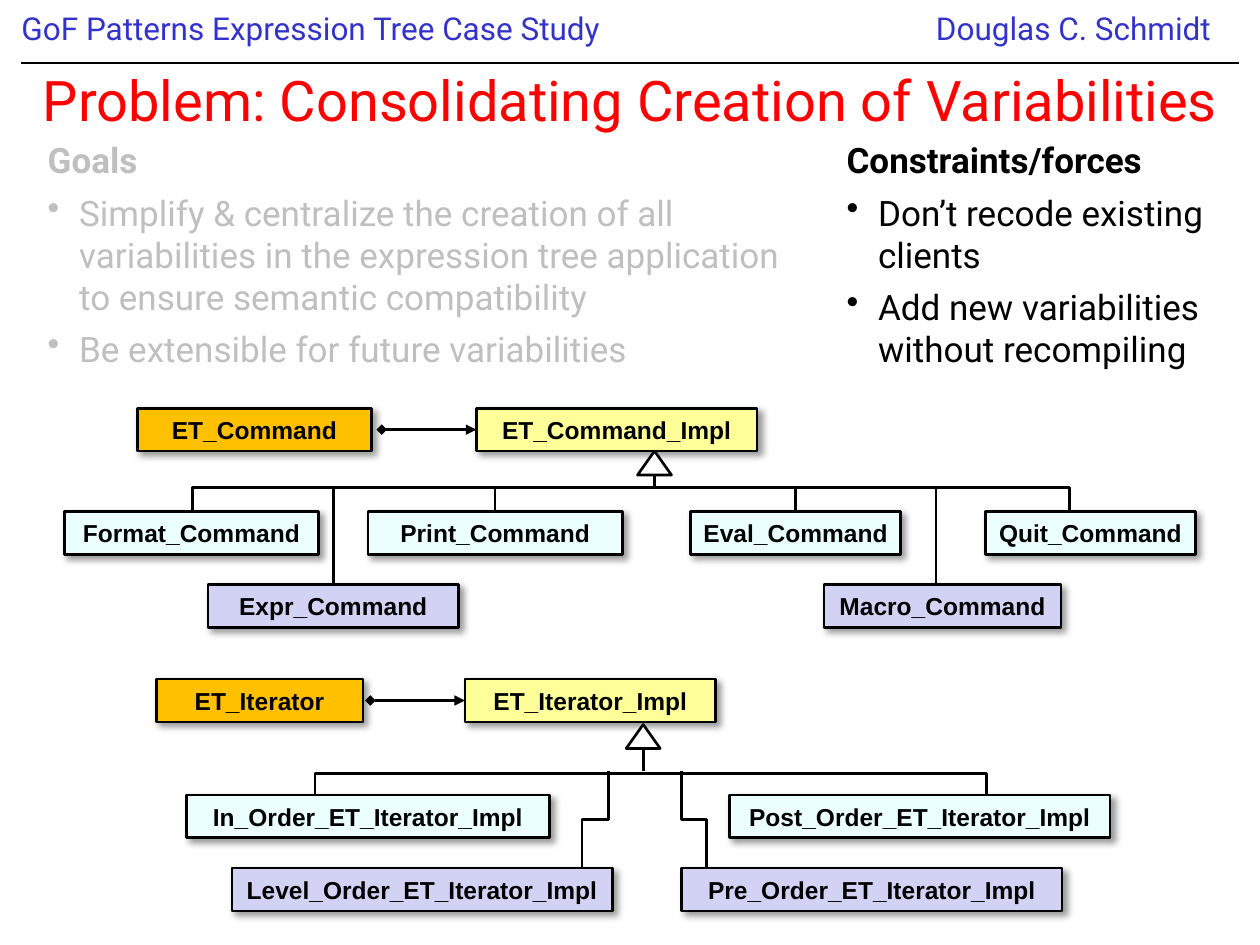
from dataclasses import dataclass

from lxml import etree
from pptx import Presentation
from pptx.dml.color import RGBColor
from pptx.enum.shapes import MSO_CONNECTOR, MSO_SHAPE
from pptx.enum.text import MSO_ANCHOR, MSO_AUTO_SIZE, PP_ALIGN
from pptx.oxml import parse_xml
from pptx.oxml.ns import qn
from pptx.util import Inches, Pt

RECT, TRIANGLE = MSO_SHAPE.RECTANGLE, MSO_SHAPE.ISOSCELES_TRIANGLE
STRAIGHT = MSO_CONNECTOR.STRAIGHT
CENTER, MIDDLE = PP_ALIGN.CENTER, MSO_ANCHOR.MIDDLE
NO_FIT = MSO_AUTO_SIZE.NONE
TOP, LEFT = 0, 1
COLS, ROWS = 100, 75

SHADOW = """<a:effectLst xmlns:a="http://schemas.openxmlformats.org/drawingml/2006/main">
<a:outerShdw blurRad="50800" dist="38100" dir="2700000" algn="tl" rotWithShape="0">
<a:srgbClr val="000000"><a:alpha val="40000"/></a:srgbClr></a:outerShdw></a:effectLst>"""


@dataclass(frozen=True)
class Theme:
    text_font: str = "Roboto"
    box_font: str = "Arial"
    header: str = "3333CC"
    title: str = "FF0000"
    ink: str = "000000"
    muted: str = "BFBFBF"
    paper: str = "FFFFFF"
    client: str = "FFC000"
    base: str = "FFFF99"
    upper: str = "EBFFFF"
    lower: str = "D2D2F4"
    header_size: int = 18
    title_size: int = 32
    body_size: int = 20
    box_size: int = 14
    thin: float = 0.75
    stroke: float = 1.5


class Deck:
    def __init__(self, theme):
        self.theme = theme
        self.prs = Presentation()
        self.prs.slide_width, self.prs.slide_height = Inches(10), Inches(7.5)
        self.s = self.prs.slides.add_slide(self.prs.slide_layouts[5])

    def grid(self, *cells):
        units = (self.prs.slide_width / COLS, self.prs.slide_height / ROWS)
        return [round(cell * units[i % 2]) for i, cell in enumerate(cells)]

    def add_text(self, p, text, color, size, name, bold=False):
        r = p.add_run()
        r.text = text
        for key, value in dict(name=name, size=Pt(size), bold=bold).items():
            setattr(r.font, key, value)
        r.font.color.rgb = RGBColor.from_string(color)

    def frame(self, tf, **values):
        for key, value in values.items():
            setattr(tf, key, value)
        return tf.paragraphs[0]

    def stroke(self, line, width=None):
        line.color.rgb = RGBColor.from_string(self.theme.ink)
        line.width = Pt(width or self.theme.stroke)

    def title(self, text, at):
        t, sp = self.theme, self.s.shapes.title
        sp.left, sp.top, sp.width, sp.height = self.grid(*at)
        p = self.frame(sp.text_frame, word_wrap=True, auto_size=NO_FIT, vertical_anchor=MIDDLE)
        p.alignment = CENTER
        self.add_text(p, text, t.title, t.title_size, t.text_font)

    def header(self, text, at, inset):
        t = self.theme
        sp = self.s.shapes.add_textbox(*self.grid(*at))
        p = self.frame(sp.text_frame, word_wrap=True,
                       margin_left=Inches(inset), margin_right=Inches(inset))
        p.line_spacing = 0.9
        self.add_text(p, text, t.header, t.header_size, t.text_font)

    def bullets(self, heading, items, at, color):
        t = self.theme
        tf = self.s.shapes.add_textbox(*self.grid(*at)).text_frame
        p = self.frame(tf, word_wrap=True)
        self.add_text(p, heading, color, t.body_size, t.text_font, True)
        for item in items:
            p = tf.add_paragraph()
            pPr = p._p.get_or_add_pPr()
            pPr.set("marL", str(Inches(0.25)))
            pPr.set("indent", str(-Inches(0.25)))
            etree.SubElement(pPr, qn("a:buChar"), char="•")
            p.space_before = Pt(6)
            self.add_text(p, item, color, t.body_size, t.text_font)

    def shape(self, kind, at, fill):
        sp = self.s.shapes.add_shape(kind, *self.grid(*at))
        sp.shadow.inherit = False
        sp.fill.solid()
        sp.fill.fore_color.rgb = RGBColor.from_string(fill)
        self.stroke(sp.line)
        return sp

    def box(self, text, x, y, w, fill):
        t = self.theme
        sp = self.shape(RECT, (x, y, w, 3.4), fill)
        spPr = sp._element.spPr
        spPr.replace(spPr.find(qn("a:effectLst")), parse_xml(SHADOW))
        p = self.frame(sp.text_frame, word_wrap=False, vertical_anchor=MIDDLE)
        p.alignment = CENTER
        self.add_text(p, text, t.ink, t.box_size, t.box_font, True)
        return sp

    def line(self, start, end, width=None, target=None, site=TOP, arrow=False):
        sp = self.s.shapes.add_connector(STRAIGHT, *self.grid(*start, *end))
        self.stroke(sp.line, width)
        if target is not None:
            sp.end_connect(target, site)
        if arrow:
            ln = sp._element.spPr.find(qn("a:ln"))
            for tag, kind in (("a:headEnd", "diamond"), ("a:tailEnd", "triangle")):
                etree.SubElement(ln, qn(tag), type=kind)
        etree.SubElement(sp._element.spPr, qn("a:effectLst"))

    def bend(self, *points):
        first, *rest = [self.grid(*point) for point in points]
        fb = self.s.shapes.build_freeform(*first)
        fb.add_line_segments(rest, close=False)
        sp = fb.convert_to_shape()
        sp.shadow.inherit = False
        sp.fill.background()
        self.stroke(sp.line)

    def bracket(self, left, right, bar, foot):
        self.bend((left, foot), (left, bar), (right, bar), (right, foot))

    def step(self, x, top, to_x, foot):
        mid = (top + foot) / 2
        self.bend((x, top), (x, mid), (to_x, mid), (to_x, foot))

    def hierarchy(self, client, base, y, arrow_x, apex, stem_foot):
        t = self.theme
        self.box(client[0], client[1], y, client[2], t.client)
        impl = self.box(base[0], base[1], y, base[2], t.base)
        self.line((arrow_x, y + 1.7), (base[1], y + 1.7), target=impl, site=LEFT, arrow=True)
        x, top = apex
        self.line((x, top + 1.9), (x, stem_foot))
        self.shape(TRIANGLE, (x - 1.35, top, 2.7, 1.9), t.paper)


def main():
    t = Theme()
    deck = Deck(t)
    deck.header("GoF Patterns Expression Tree Case Study", (1.7, 0.6, 59.2, 3.7), 0)
    deck.line((1.7, 5), (98.3, 5), t.thin)
    deck.header("Douglas C. Schmidt", (73.3, 0.6, 25.1, 4), 0.1)
    deck.title("Problem: Consolidating Creation of Variabilities", (1.7, 5.8, 96.7, 4.2))
    deck.bullets("Goals", [
        "Simplify & centralize the creation of all variabilities in the expression tree "
        "application to ensure semantic compatibility",
        "Be extensible for future variabilities",
    ], (2.8, 10.5, 60.9, 48.2), t.muted)
    deck.bullets("Constraints/forces", [
        "Don’t recode existing clients",
        "Add new variabilities without recompiling",
    ], (66.2, 10.5, 32.5, 48.2), t.ink)

    bar = 38.7
    deck.bracket(15.3, 84.9, bar, 40.6)
    deck.hierarchy(("ET_Command", 10.9, 18.6), ("ET_Command_Impl", 37.8, 22.3),
                   32.4, 30.3, (51.95, 35.8), bar)
    for text, x, y, w, fill, joined in (
        ("Format_Command", 5.1, 40.6, 20.2, t.upper, False),
        ("Print_Command", 29.2, 40.6, 20.2, t.upper, True),
        ("Eval_Command", 54.8, 40.6, 16.7, t.upper, True),
        ("Quit_Command", 78.2, 40.6, 16.7, t.upper, False),
        ("Expr_Command", 16.5, 46.4, 19.9, t.lower, True),
        ("Macro_Command", 65.4, 46.4, 18.8, t.lower, False),
    ):
        sp = deck.box(text, x, y, w, fill)
        if joined:
            deck.line((x + w / 2, bar), (x + w / 2, y), target=sp)
    deck.line((74.3, bar), (74.3, 46.4))

    deck.bracket(25, 78.3, 61.4, 63.1)
    deck.step(48.3, 61.2, 46.2, 68.9)
    deck.step(54.1, 61.2, 56.1, 68.9)
    deck.hierarchy(("ET_Iterator", 12.4, 16.4), ("ET_Iterator_Impl", 36.9, 19.9),
                   53.9, 29.4, (51.05, 57.5), 61.2)
    for text, x, y, w, fill in (
        ("In_Order_ET_Iterator_Impl", 14.8, 63.1, 28.8, t.upper),
        ("Post_Order_ET_Iterator_Impl", 57.9, 63.1, 30.2, t.upper),
        ("Level_Order_ET_Iterator_Impl", 18.4, 68.9, 30.2, t.lower),
        ("Pre_Order_ET_Iterator_Impl", 54.1, 68.9, 30.2, t.lower),
    ):
        deck.box(text, x, y, w, fill)
    deck.prs.save("out.pptx")


if __name__ == "__main__":
    main()
